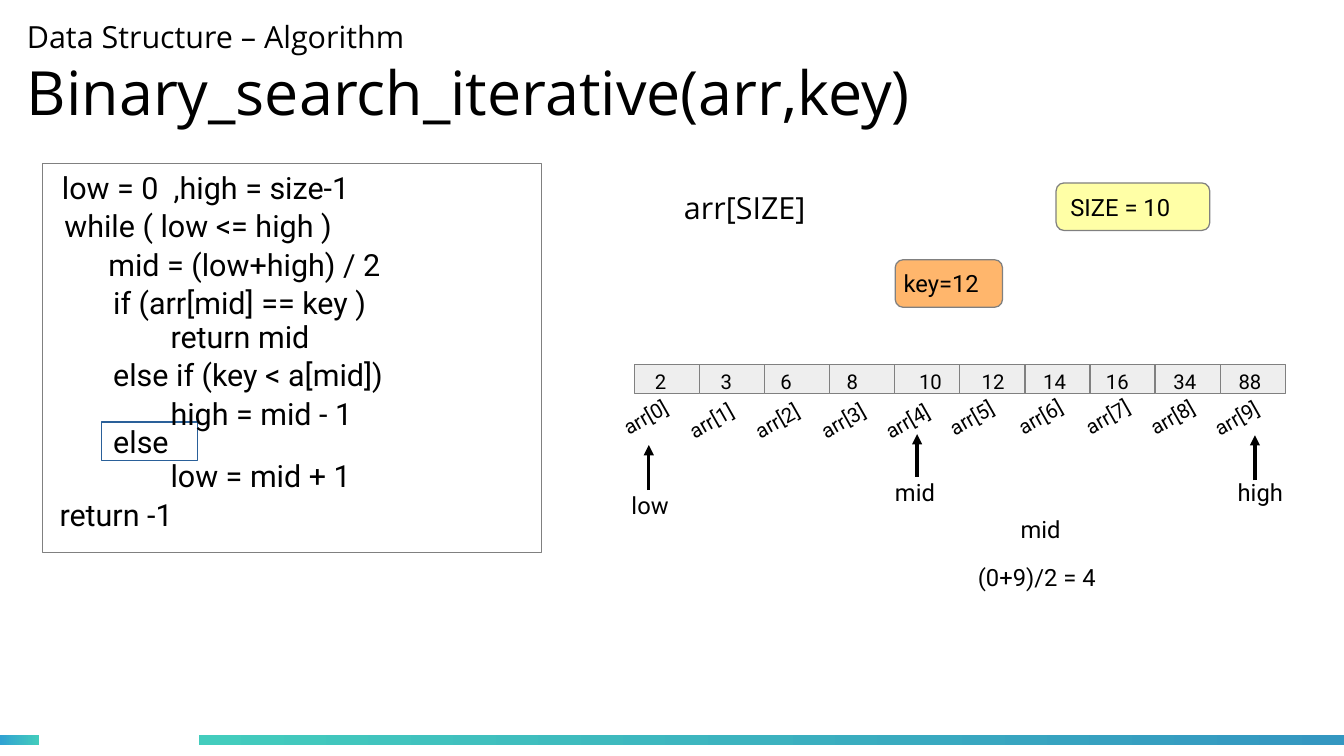
from dataclasses import dataclass
from typing import NamedTuple

from lxml.etree import SubElement
from pptx import Presentation
from pptx.dml.color import RGBColor
from pptx.enum.shapes import MSO_CONNECTOR, MSO_SHAPE
from pptx.enum.text import MSO_ANCHOR, MSO_AUTO_SIZE, PP_ALIGN
from pptx.oxml.ns import qn
from pptx.util import Inches, Pt

# Grid: columns and rows of a tenth of an inch
STEP = Inches(0.1)
COLS, ROWS = 110.2, 62
BLACK, GREY, TEAL = "000000", "808080", "43CCBD"
RECT, ROUND = MSO_SHAPE.RECTANGLE, MSO_SHAPE.ROUNDED_RECTANGLE


def grid(*units: float) -> list[int]:
    return [round(n * STEP) for n in units]


def color(code: str) -> RGBColor:
    return RGBColor.from_string(code)


@dataclass
class Label:
    text: str
    x: float
    y: float
    w: float
    h: float = 4
    size: float = 14
    font: str = "Roboto"
    turn: float = 0


@dataclass
class Panel:
    x: float
    y: float
    w: float
    h: float
    fill: str
    line: str = GREY
    text: str = ""
    size: float = 14
    left: float = 1
    top: float = 0
    kind: MSO_SHAPE = RECT
    anchor: MSO_ANCHOR = MSO_ANCHOR.MIDDLE


class Bar(NamedTuple):
    x: float
    w: float
    start: str
    end: str


class Cell(NamedTuple):
    value: int
    left: float   # inset of the value
    x: float      # place of the index label
    y: float
    w: float


class Arrow(NamedTuple):
    x: float
    low: float
    high: float


def style(font, size: float, name: str = "Roboto") -> None:
    for key, val in {"size": Pt(size), "name": name, "bold": False}.items():
        setattr(font, key, val)
    font.color.rgb = color(BLACK)


def write(frame, text: str, size: float, font: str, **form) -> None:
    base = {"word_wrap": True, "auto_size": MSO_AUTO_SIZE.NONE,
            "vertical_anchor": MSO_ANCHOR.TOP}
    for key, val in (base | form).items():
        setattr(frame, key, val)
    para = frame.paragraphs[0]
    para.alignment = PP_ALIGN.LEFT
    run = para.add_run()
    run.text = text
    style(run.font, size, font)


def add_label(slide, item: Label) -> None:
    box = slide.shapes.add_textbox(*grid(item.x, item.y, item.w, item.h))
    box.rotation = item.turn
    write(box.text_frame, item.text, item.size, item.font)


def add_panel(slide, item: Panel) -> None:
    box = slide.shapes.add_shape(item.kind, *grid(item.x, item.y, item.w, item.h))
    box.shadow.inherit = False
    box.fill.solid()
    box.fill.fore_color.rgb = color(item.fill)
    box.line.color.rgb = color(item.line)
    box.line.width = Pt(0)
    if item.text:
        left, top = grid(item.left, item.top)
        write(box.text_frame, item.text, item.size, "Roboto",
              vertical_anchor=item.anchor, margin_left=left, margin_top=top,
              margin_right=0, margin_bottom=0)


def add_bar(slide, item: Bar) -> None:
    bar = slide.shapes.add_shape(RECT, *grid(item.x, 60.25, item.w, 0.85))
    bar.shadow.inherit = False
    bar.line.fill.background()
    bar.fill.gradient()
    bar.fill.gradient_angle = 0
    for stop, code in zip(bar.fill.gradient_stops, (item.start, item.end)):
        stop.color.rgb = color(code)


def add_arrow(slide, item: Arrow) -> None:
    ends = grid(item.x, item.low, item.x, item.high)
    link = slide.shapes.add_connector(MSO_CONNECTOR.STRAIGHT, *ends)
    link.line.color.rgb = color(BLACK)
    link.line.width = Pt(0)
    SubElement(link.line._get_or_add_ln(), qn("a:tailEnd"), type="triangle")
    SubElement(link._element.spPr, qn("a:effectLst"))


def add_title(slide) -> None:
    title = slide.shapes.title
    spot = dict(zip(("left", "top", "width", "height"),
                    grid(2.2, -1.3, 104.1, 14.5)))
    for key, val in spot.items():
        setattr(title, key, val)
    frame = title.text_frame
    write(frame, "Data Structure – Algorithm", 18, "Open Sans",
          vertical_anchor=MSO_ANCHOR.MIDDLE, margin_left=0, margin_top=0,
          margin_right=0, margin_bottom=0)
    para = frame.paragraphs[0]
    para.add_line_break()
    run = para.add_run()
    run.text = "Binary_search_iterative(arr,key)"
    style(run.font, 36, "Open Sans")


BARS = [Bar(0, 3.2, "30A2D2", TEAL), Bar(16.3, 93.9, TEAL, "3497C1")]

PANELS = [
    Panel(86.6, 15, 12.6, 3.9, "FFFFA6", text="SIZE = 10", kind=ROUND),
    Panel(73.4, 21.3, 8.8, 3.9, "FFB66C", text="key=12", left=0.5, kind=ROUND),
    Panel(3.5, 13.4, 40.9, 31.9, "FFFFFF"),
    Panel(8.3, 34.6, 7.9, 3.2, "FFFFFF", "2A6099", "else", 18),
]

# Code lines: text, column, row
CODE = [
    ("low = 0  ,high = size-1", 4.1, 13.4),
    ("while ( low <= high )", 4.3, 16.5),
    ("mid = (low+high) / 2", 7.9, 19.7),
    ("if (arr[mid] == key )", 8.3, 22.8),
    ("return mid", 13, 25.6),
    ("else if (key < a[mid])", 8.3, 28.7),
    ("high = mid - 1", 13, 31.9),
    ("low = mid + 1", 13, 37),
    ("return -1", 3.9, 40.2),
]

LABELS = [
    Label("arr[SIZE]", 55.1, 15, 14.2, size=18, font="Open Sans"),
    Label("low", 50.8, 39.8, 6.3),
    Label("mid", 72.4, 38.7, 6),
    Label("high", 100.5, 38.7, 6.5),
    Label("mid", 82.7, 41.7, 6.3),
    Label("(0+9)/2 = 4", 79.2, 45.7, 13.7),
]

CELLS = [
    Cell(2, 1.7, 50, 32.4, 7), Cell(3, 1.75, 55.4, 32.7, 6.9),
    Cell(6, 1.3, 60.8, 32.7, 6.9), Cell(8, 1.4, 66.2, 32.7, 6.9),
    Cell(10, 2, 71.5, 32.8, 6.7), Cell(12, 1.8, 76.7, 32.3, 7.6),
    Cell(14, 1.5, 82.3, 32.1, 8.1), Cell(16, 1.3, 87.9, 32.4, 6.8),
    Cell(34, 1.5, 93.2, 32.4, 7), Cell(88, 1.5, 98.4, 32.2, 8.1),
]
PITCH = 5.34

ARROWS = [Arrow(53.2, 40.2, 36.5), Arrow(75.2, 39.1, 35.6),
          Arrow(102.9, 39.4, 35.7)]


def main() -> None:
    deck = Presentation()
    deck.slide_width, deck.slide_height = grid(COLS, ROWS)
    slide = deck.slides.add_slide(deck.slide_layouts[5])

    # Footer bars and heading
    for bar in BARS:
        add_bar(slide, bar)
    add_title(slide)

    # Code and badges
    for panel in PANELS:
        add_panel(slide, panel)
    for text, x, y in CODE:
        add_label(slide, Label(text, x, y, 34, 4.4, 18))

    # Array with its index labels
    for i, cell in enumerate(CELLS):
        add_panel(slide, Panel(52 + i * PITCH, 29.9, PITCH, 2.4, "EEEEEE",
                               text=str(cell.value), size=12, left=cell.left,
                               top=0.4, anchor=MSO_ANCHOR.TOP))
        add_label(slide, Label(f"arr[{i}]", cell.x, cell.y, cell.w, 3.3, 12,
                               turn=-29.6))

    # Pointers
    for arrow in ARROWS:
        add_arrow(slide, arrow)
    for label in LABELS:
        add_label(slide, label)

    deck.save("out.pptx")


if __name__ == "__main__":
    main()
